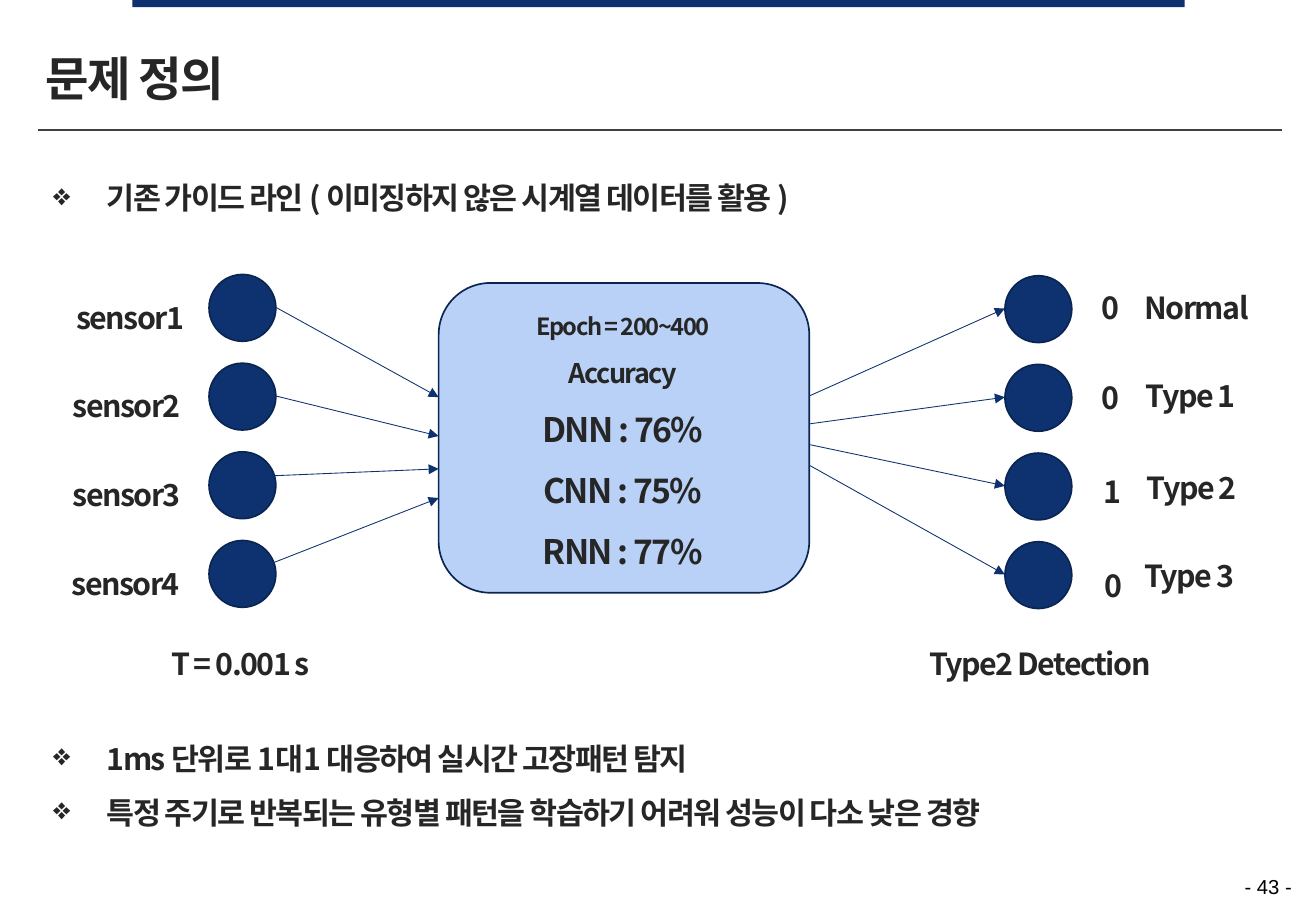
from lxml import etree
from pptx import Presentation
from pptx.dml.color import RGBColor
from pptx.enum.shapes import MSO_CONNECTOR, MSO_SHAPE
from pptx.enum.text import MSO_ANCHOR, MSO_AUTO_SIZE, PP_ALIGN
from pptx.oxml.ns import qn
from pptx.util import Pt

PX = 9144  # 100 px to the inch
STRAIGHT = MSO_CONNECTOR.STRAIGHT
RECTANGLE, ROUNDED, OVAL = (
    MSO_SHAPE.RECTANGLE, MSO_SHAPE.ROUNDED_RECTANGLE, MSO_SHAPE.OVAL)
LEFT, CENTER, RIGHT = PP_ALIGN.LEFT, PP_ALIGN.CENTER, PP_ALIGN.RIGHT
MIDDLE = MSO_ANCHOR.MIDDLE
GROW = MSO_AUTO_SIZE.SHAPE_TO_FIT_TEXT

NAVY, DARK_NAVY, PALE_BLUE = "0D326F", "0A2552", "BAD1F7"
TEXT_COLOR, RULE_COLOR, BLACK = "262626", "404040", "000000"
KOREAN_FONT = "Noto Sans CJK KR"
BODY = {"size": Pt(18), "name": KOREAN_FONT, "bold": True}
PAGE_NUMBER = {"size": Pt(12), "name": "Arial", "bold": False}

CIRCLE_SIZE, ROW_STEP = 55, 73
SENSOR_TOP, OUTPUT_TOP = 226, 227
SENSOR_LEFT, OUTPUT_LEFT = 172, 827
MODEL_BOX = (361, 233, 305, 255)
MODEL_LEFT, MODEL_RIGHT = 361, 666

# label, label left, arrow start, arrow end height on the model box
SENSORS = [
    ("sensor1", 53, (227, 253), 327),
    ("sensor2", 50, (227, 326), 359),
    ("sensor3", 50, (218, 392), 386),
    ("sensor4", 49, (218, 466), 410),
]
# value, value place, label, label place, arrow start height on the model box
OUTPUTS = [
    ("0", (897, 218), "Normal", (932, 218), 326),
    ("0", (897, 292), "Type 1", (933, 291), 349),
    ("1", (898, 370), "Type 2", (934, 366), 366),
    ("0", (899, 447), "Type 3", (932, 439), 383),
]
RESULTS = [("Epoch = 200~400", 14), ("Accuracy", 16), ("DNN : 76%", 20),
           ("CNN : 75%", 20), ("RNN : 77%", 20)]
FINDINGS = ["1ms 단위로 1대1 대응하여 실시간 고장패턴 탐지",
            "특정 주기로 반복되는 유형별 패턴을 학습하기 어려워 성능이 다소 낮은 경향"]


def emu(*lengths):
    return [length * PX for length in lengths]


def color(hex_text):
    return RGBColor.from_string(hex_text)


def add_block(slide, kind, box, fill, line=None):
    shape = slide.shapes.add_shape(kind, *emu(*box))
    shape.shadow.inherit = False
    shape.fill.solid()
    shape.fill.fore_color.rgb = color(fill)
    if line:
        shape.line.color.rgb = color(line)
        shape.line.width = Pt(1)
    else:
        shape.line.fill.background()


def add_line(slide, start, end, line, width, arrow=False):
    connector = slide.shapes.add_connector(STRAIGHT, *emu(*start, *end))
    connector.line.color.rgb = color(line)
    connector.line.width = Pt(width)
    if arrow:
        outline = connector.line._get_or_add_ln()
        etree.SubElement(outline, qn("a:tailEnd"), type="triangle")
    etree.SubElement(connector._element.spPr, qn("a:effectLst"))


def add_bullet(paragraph):
    properties = paragraph._p.get_or_add_pPr()
    for name, value in {"marL": 44 * PX, "indent": -44 * PX}.items():
        properties.set(name, str(value))
    etree.SubElement(properties, qn("a:buChar"), char="❖")


def format_run(run, font_values, text_color):
    for name, value in font_values.items():
        setattr(run.font, name, value)
    run.font.color.rgb = color(text_color)
    if font_values["name"] == KOREAN_FONT:
        properties = run.font._element
        properties.set("spc", "-90")
        etree.SubElement(properties, qn("a:ea"), typeface=KOREAN_FONT)


def add_text(slide, box, lines, font_values=BODY, text_color=TEXT_COLOR,
             align=LEFT, spacing=1.5, bullet=False):
    """Add a text box; each line is a pair of text and point size."""
    frame = slide.shapes.add_textbox(*emu(*box)).text_frame
    frame.word_wrap = True
    frame.auto_size = GROW
    for index, (text, size) in enumerate(lines):
        paragraph = frame.paragraphs[0] if index == 0 else frame.add_paragraph()
        if bullet:
            add_bullet(paragraph)
        paragraph.alignment = align
        paragraph.line_spacing = spacing
        run = paragraph.add_run()
        run.text = text
        format_run(run, {**font_values, "size": Pt(size)}, text_color)
    return frame


def add_label(slide, place, text, width=109):
    add_text(slide, (*place, width, 50), [(text, 18)])


def add_circle(slide, left, top):
    add_block(slide, OVAL, (left, top, CIRCLE_SIZE, CIRCLE_SIZE), NAVY, DARK_NAVY)


def add_frame(slide):
    add_block(slide, RECTANGLE, (109, 0, 866, 6), NAVY)
    add_line(slide, (31, 107), (1055, 107), RULE_COLOR, 0.75)
    page = add_text(slide, (829, 710, 244, 40), [("- 43 -", 12)],
                    PAGE_NUMBER, BLACK, RIGHT, 1.0)
    page.auto_size = MSO_AUTO_SIZE.NONE
    page.vertical_anchor = MIDDLE
    add_text(slide, (28, 36, 1027, 57), [("문제 정의", 28)], spacing=1.0)


def add_network(slide):
    add_block(slide, ROUNDED, MODEL_BOX, PALE_BLUE, DARK_NAVY)
    add_text(slide, (378, 240, 269, 231), RESULTS, align=CENTER)
    for row, (label, left, start, end_y) in enumerate(SENSORS):
        top = SENSOR_TOP + row * ROW_STEP
        add_circle(slide, SENSOR_LEFT, top)
        add_label(slide, (left, top), label)
        add_line(slide, start, (MODEL_LEFT, end_y), NAVY, 0.5, arrow=True)
    for row, (value, value_place, label, label_place, start_y) in enumerate(OUTPUTS):
        top = OUTPUT_TOP + row * ROW_STEP
        add_circle(slide, OUTPUT_LEFT, top)
        add_label(slide, value_place, value)
        add_label(slide, label_place, label)
        add_line(slide, (MODEL_RIGHT, start_y),
                 (OUTPUT_LEFT, top + CIRCLE_SIZE // 2), NAVY, 0.5, arrow=True)
    add_label(slide, (131, 511), "T = 0.001 s", 173)
    add_label(slide, (755, 511), "Type2 Detection", 209)


def main():
    presentation = Presentation()
    presentation.slide_width, presentation.slide_height = emu(1083, 750)
    slide = presentation.slides.add_slide(presentation.slide_layouts[6])
    add_frame(slide)
    add_text(slide, (34, 128, 1016, 50),
             [("기존 가이드 라인 ( 이미징하지 않은 시계열 데이터를 활용 )", 18)],
             bullet=True)
    add_network(slide)
    add_text(slide, (34, 589, 1016, 95), [(text, 18) for text in FINDINGS],
             bullet=True)
    presentation.save("out.pptx")


if __name__ == "__main__":
    main()
